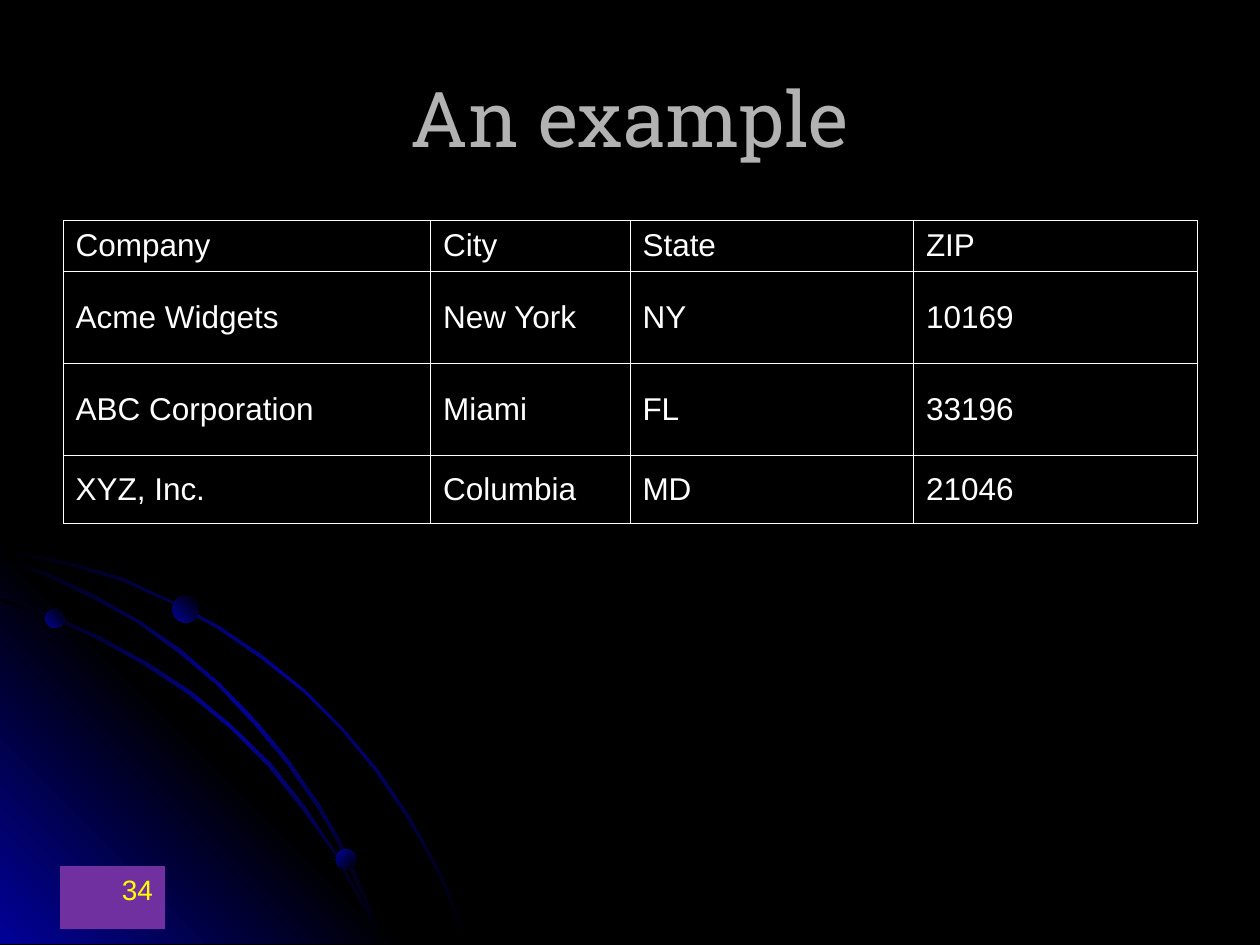
"""Build the "An example" company table slide with its glowing arcs."""
from copy import deepcopy

from lxml.etree import SubElement
from pptx import Presentation
from pptx.dml.color import RGBColor
from pptx.enum.shapes import MSO_SHAPE
from pptx.enum.text import MSO_ANCHOR, PP_ALIGN
from pptx.oxml.ns import qn
from pptx.util import Pt

BLACK, BLUE, WHITE = "000000", "010199", "FFFFFF"


def paint_gradient(shape, colors, angle):
    shape.shadow.inherit = False
    shape.line.fill.background()
    shape.fill.gradient()
    shape.fill.gradient_angle = angle
    stop_list = next(shape._element.spPr.iter(qn("a:gsLst")))
    while len(stop_list) < len(colors):
        stop_list.append(deepcopy(stop_list[0]))
    for index, (stop, color) in enumerate(zip(shape.fill.gradient_stops, colors)):
        stop.color.rgb = RGBColor.from_string(color)
        stop.position = index / (len(colors) - 1)


def write_text(text_frame, text, font_name, size, color, alignment):
    text_frame.text = text
    text_frame.word_wrap = True
    paragraph = text_frame.paragraphs[0]
    paragraph.alignment = alignment
    font = paragraph.runs[0].font
    font.name = font_name
    font.size = Pt(size)
    font.color.rgb = RGBColor.from_string(color)


presentation = Presentation()
presentation.slide_width = Pt(720)
presentation.slide_height = Pt(540)
slide = presentation.slides.add_slide(presentation.slide_layouts[6])
slide.background.fill.solid()
slide.background.fill.fore_color.rgb = RGBColor.from_string(BLACK)
shapes = slide.shapes

arc_colors = (BLACK, BLUE, BLACK)
outer_arc = [
    (57, 447), (28, 441), (0, 435), (0, 438), (28, 443), (56, 449), (97, 461),
    (135, 478), (173, 499), (208, 523), (241, 549), (271, 579), (298, 612),
    (323, 649), (337, 673), (350, 698), (360, 723), (370, 749), (372, 749),
    (362, 723), (352, 698), (339, 673), (325, 648), (300, 611), (272, 578),
    (242, 548), (209, 521), (174, 497), (136, 477), (98, 459),
]
corner_glow = [(322, 749), (0, 749), (0, 427)]
inner_arc = [
    (285, 714), (294, 732), (301, 749), (303, 749), (296, 730), (286, 712),
    (266, 676), (242, 640), (215, 606), (184, 576), (152, 549), (117, 526),
    (79, 505), (41, 488), (0, 475), (0, 477), (39, 490), (77, 507), (115, 528),
    (150, 551), (183, 578), (213, 608), (240, 642), (265, 677),
]
middle_arc = [
    (0, 442), (0, 444), (36, 457), (74, 475), (109, 494), (142, 518), (173, 544),
    (202, 575), (227, 605), (252, 641), (267, 667), (280, 694), (292, 722),
    (301, 749), (303, 749), (294, 720), (282, 693), (269, 665), (254, 639),
    (229, 603), (204, 573), (175, 543), (144, 516), (111, 493), (76, 473), (39, 455),
]
for outline, colors, angle in [
    (outer_arc, arc_colors, 315),
    (corner_glow, (BLUE, BLACK, BLUE), 45),
    (inner_arc, arc_colors, 315),
    (middle_arc, arc_colors, 315),
]:
    builder = shapes.build_freeform(*outline[0], scale=Pt(0.72))
    builder.add_line_segments(outline[1:], close=True)
    paint_gradient(builder.convert_to_shape(), colors, angle)

for left, top, diameter, angle in [
    (25.9, 347.8, 11, 45), (192, 485.3, 11.5, 315), (98.6, 340.6, 15.1, 45),
]:
    bead = shapes.add_shape(
        MSO_SHAPE.OVAL, Pt(left), Pt(top), Pt(diameter), Pt(diameter))
    paint_gradient(bead, (BLUE, BLACK), angle)

title = shapes.add_textbox(Pt(36), Pt(21.6), Pt(648), Pt(90))
title.text_frame.vertical_anchor = MSO_ANCHOR.MIDDLE
write_text(title.text_frame, "An example", "Roboto Slab", 44, "B2B2B2", PP_ALIGN.CENTER)

rows = [
    ("Company", "City", "State", "ZIP"),
    ("Acme Widgets", "New York", "NY", "10169"),
    ("ABC Corporation", "Miami", "FL", "33196"),
    ("XYZ, Inc.", "Columbia", "MD", "21046"),
]
table = shapes.add_table(4, 4, Pt(36), Pt(126), Pt(648), Pt(173)).table
table.first_row = False
table.horz_banding = False
for column, width in zip(table.columns, (210, 114, 162, 162)):
    column.width = Pt(width)
for row, height, texts in zip(table.rows, (29, 52.5, 52.5, 39), rows):
    row.height = Pt(height)
    for cell, text in zip(row.cells, texts):
        write_text(cell.text_frame, text, "Arial", 18, WHITE, PP_ALIGN.LEFT)
        cell.vertical_anchor = MSO_ANCHOR.MIDDLE
        properties = cell._tc.get_or_add_tcPr()
        for side in ("a:lnL", "a:lnR", "a:lnT", "a:lnB"):
            border = SubElement(properties, qn(side), w=str(Pt(0.45)))
            border_fill = SubElement(border, qn("a:solidFill"))
            SubElement(border_fill, qn("a:srgbClr"), val=WHITE)
        cell.fill.background()

page_number = shapes.add_shape(
    MSO_SHAPE.RECTANGLE, Pt(34.4), Pt(495), Pt(60), Pt(36))
page_number.shadow.inherit = False
page_number.fill.solid()
page_number.fill.fore_color.rgb = RGBColor.from_string("7030A0")
page_number.line.fill.background()
page_number.text_frame.vertical_anchor = MSO_ANCHOR.TOP
write_text(page_number.text_frame, "34", "Arial", 16, "FFFF00", PP_ALIGN.RIGHT)

presentation.save("out.pptx")
